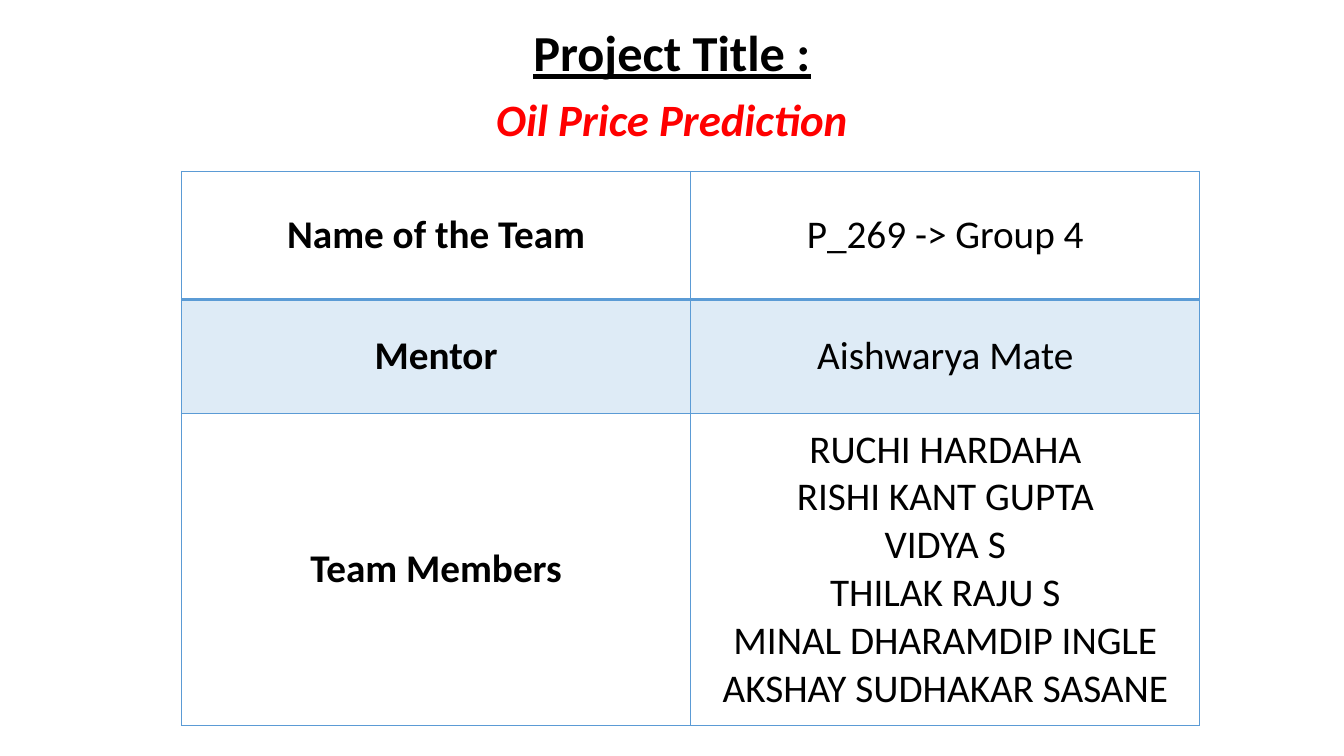
import pptx
import pptx.util
import pptx.enum.text
import pptx.dml.color
import pptx.oxml.ns
import lxml.etree

Inches = pptx.util.Inches
qn = pptx.oxml.ns.qn
COLORS = {"black": "000000", "red": "FF0000", "blue": "5B9BD5"}


def write_text(frame, text, size=28, color="black", bold=False, italic=False, underline=False):
    frame.word_wrap = True
    for index, line in enumerate(text.split("\n")):
        para = frame.paragraphs[0] if index == 0 else frame.add_paragraph()
        para.alignment = pptx.enum.text.PP_ALIGN.CENTER
        span = para.add_run()
        span.text = line
        span.font.name = "Calibri"
        span.font.size = pptx.util.Pt(size)
        span.font.bold = bold
        span.font.italic = italic
        span.font.underline = underline
        span.font.color.rgb = pptx.dml.color.RGBColor.from_string(COLORS[color])


def add_border(properties, side, width):
    line = lxml.etree.SubElement(properties, qn(f"a:ln{side}"), w=str(pptx.util.Pt(width)))
    fill = lxml.etree.SubElement(line, qn("a:solidFill"))
    lxml.etree.SubElement(fill, qn("a:srgbClr"), val=COLORS["blue"])


deck = pptx.Presentation()
deck.slide_width = Inches(13.33)
deck.slide_height = Inches(7.5)
page = deck.slides.add_slide(deck.slide_layouts[6])

headings = [
    ("Project Title :", (0.77, 0.16, 11.79, 0.71), {"size": 36, "underline": True}),
    ("Oil Price Prediction", (0.49, 0.86, 12.35, 0.64), {"size": 32, "color": "red", "italic": True}),
]
for text, place, style in headings:
    box = page.shapes.add_textbox(*map(Inches, place))
    write_text(box.text_frame, text, bold=True, **style)
    box.text_frame.auto_size = pptx.enum.text.MSO_AUTO_SIZE.SHAPE_TO_FIT_TEXT

team_rows = [
    ("Name of the Team", "P_269 -> Group 4", 1.27),
    ("Mentor", "Aishwarya Mate", 1.13),
    (
        "Team Members",
        "RUCHI HARDAHA\nRISHI KANT GUPTA\nVIDYA S\nTHILAK RAJU S\n"
        "MINAL DHARAMDIP INGLE\nAKSHAY SUDHAKAR SASANE",
        3.1,
    ),
]
table = page.shapes.add_table(
    len(team_rows), 2, Inches(1.8), Inches(1.7), Inches(10.1), Inches(5.5)
).table
for column in table.columns:
    column.width = Inches(5.05)

for row_index, (label, value, height) in enumerate(team_rows):
    table.rows[row_index].height = Inches(height)
    for column_index, text in enumerate((label, value)):
        cell = table.cell(row_index, column_index)
        cell.vertical_anchor = pptx.enum.text.MSO_ANCHOR.MIDDLE
        write_text(cell.text_frame, text, bold=column_index == 0)
        properties = cell._tc.get_or_add_tcPr()
        for side in "LRTB":
            heavy = (row_index, side) in ((0, "B"), (1, "T"))
            add_border(properties, side, 2 if heavy else 1)
        if row_index == 1:
            cell.fill.solid()
            cell.fill.fore_color.rgb = pptx.dml.color.RGBColor.from_string(COLORS["blue"])
            shade = properties.find(qn("a:solidFill")).find(qn("a:srgbClr"))
            lxml.etree.SubElement(shade, qn("a:alpha"), val="20000")
        else:
            cell.fill.background()

deck.save("out.pptx")
